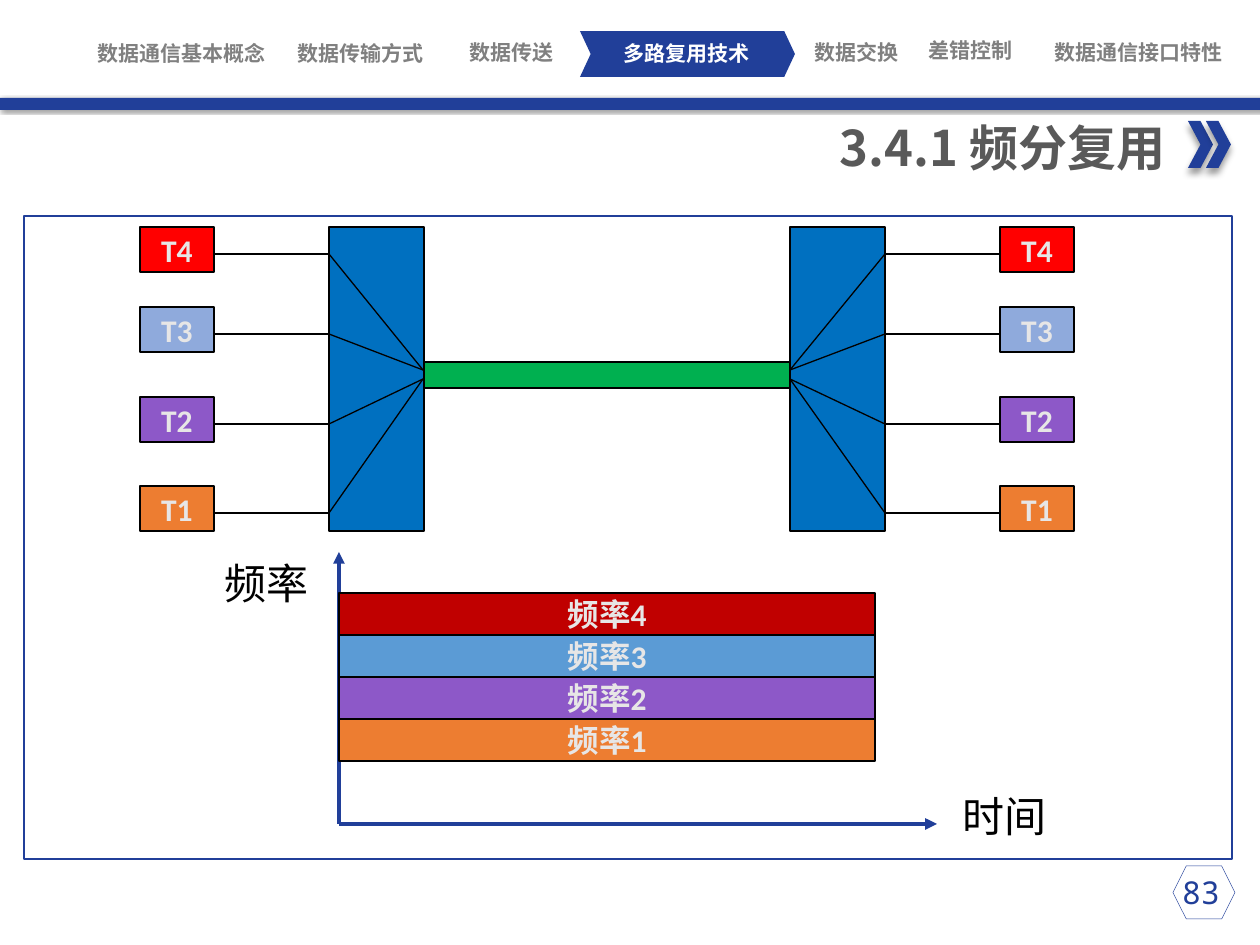
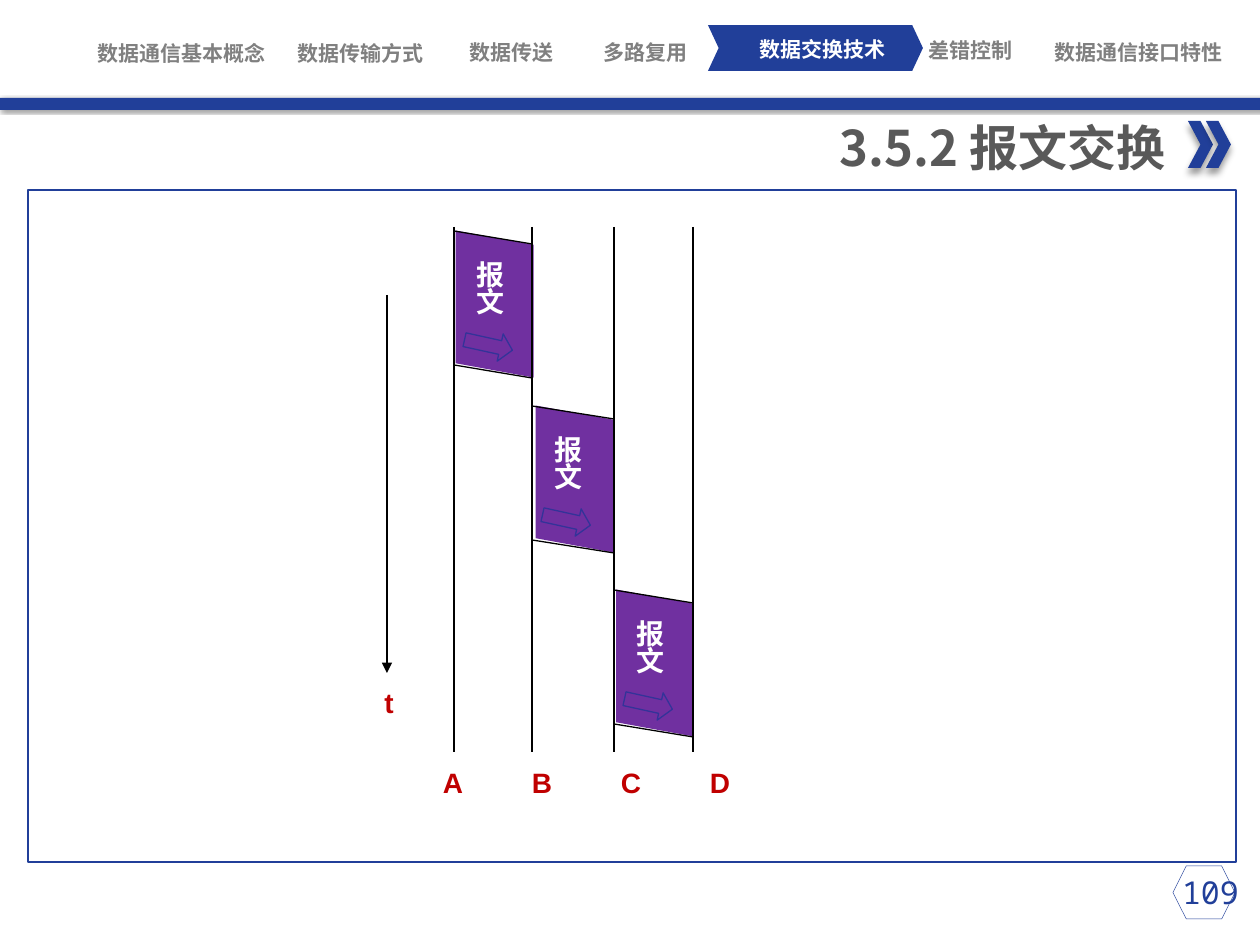
from dataclasses import dataclass
from pptx import Presentation
from pptx.dml.color import RGBColor
from pptx.enum.shapes import MSO_CONNECTOR, MSO_SHAPE as SHAPE
from pptx.enum.text import MSO_ANCHOR, PP_ALIGN as ALIGN
from pptx.oxml.ns import qn
from pptx.oxml.xmlchemy import OxmlElement
from pptx.util import Emu, Pt

PX = 914400 / 126


@dataclass(frozen=True)
class Theme:
    navy: str = "213F99"
    grey: str = "808080"
    title: str = "595959"
    white: str = "FFFFFF"
    black: str = "000000"
    pale: str = "E7E6E6"
    mux: str = "0070C0"
    trunk: str = "00B050"
    message: str = "7030A0"
    arrow: str = "333399"
    red: str = "C00000"
    nav_font: str = "Roboto Condensed"
    cjk: str = "Noto Sans CJK SC"
    mono: str = "Noto Sans Mono"
    box_font: str = "Calibri"
    label_font: str = "Arial"
    nav_pt: int = 12
    label_pt: int = 16
    box_pt: int = 18
    axis_pt: int = 24
    title_pt: int = 28


T = Theme()

SHARED_TABS = [
    ("数据通信基本概念", 182, 53),
    ("数据传输方式", 361, 53),
    ("数据传送", 512, 52),
    ("差错控制", 971, 50),
    ("数据通信接口特性", 1139, 52),
]
FDM = {
    "title": "3.4.1 频分复用",
    "page": "83",
    "frame": (24, 216, 1208, 643),
    "active": ("多路复用技术", 687, 53),
    "other": ("数据交换", 857, 52),
    "chevron": (580, 31),
}
MESSAGE = {
    "title": "3.5.2 报文交换",
    "page": "109",
    "frame": (28, 190, 1208, 672),
    "active": ("数据交换技术", 823, 49),
    "other": ("多路复用", 646, 52),
    "chevron": (708, 25),
}

TERMINALS = [
    ("T4", "FF0000", 227, 370),
    ("T3", "8FAADC", 307, 370),
    ("T2", "8D58C8", 397, 379),
    ("T1", "ED7D31", 486, 379),
]
MUX_SIDES = [
    {"terminal": 140, "wire": (213, 329), "mouth": 423, "mux": 329},
    {"terminal": 1000, "wire": (1000, 885), "mouth": 790, "mux": 790},
]
BANDS = [("频率4", "C00000"), ("频率3", "5B9BD5"),
         ("频率2", "8D58C8"), ("频率1", "ED7D31")]
AXIS_ORIGIN = (339, 824)
AXIS_ENDS = [(937, 824), (339, 552)]
AXIS_NAMES = [("时间", 963, 816), ("频率", 225, 583)]

LANES = [454, 532, 614, 693]
LANE_TOP, LANE_BOTTOM = 227, 752
HOP_TOPS = [231, 406, 590]
NODES = "ABCD"
NODE_X, NODE_STEP = 453, 89


def px(*values):
    return [Emu(round(v * PX)) for v in values]


def rgb(color):
    return RGBColor.from_string(color)


def write(s, text, size=T.box_pt, font=T.cjk, color=T.black, bold=False,
          align=ALIGN.CENTER, wrap=True, spacing=None):
    tf = s.text_frame
    tf.word_wrap = wrap
    tf.vertical_anchor = MSO_ANCHOR.MIDDLE
    tf.margin_left = tf.margin_right = tf.margin_top = tf.margin_bottom = 0
    for i, line in enumerate(text.split("\n")):
        p = tf.add_paragraph() if i else tf.paragraphs[0]
        p.alignment = align
        if spacing:
            p.line_spacing = spacing
        r = p.add_run()
        r.text = line
        r.font.size, r.font.name, r.font.bold = Pt(size), font, bold
        r.font.color.rgb = rgb(color)
        ea = OxmlElement("a:ea")
        ea.set("typeface", T.cjk)
        r.font._element.find(qn("a:latin")).addnext(ea)


def label(slide, text, x, y, w=240, h=50, align=ALIGN.CENTER, **fmt):
    shift = {ALIGN.LEFT: 0, ALIGN.CENTER: w / 2, ALIGN.RIGHT: w}[align]
    s = slide.shapes.add_textbox(*px(x - shift, y - h / 2, w, h))
    write(s, text, align=align, **fmt)


def shape(slide, kind, box, fill=None, line=None, width=0.75, adj=(),
          rotation=0, shadow=None):
    s = slide.shapes.add_shape(kind, *px(*box))
    s.rotation = rotation
    for i, value in enumerate(adj):
        s.adjustments[i] = value
    if fill:
        s.fill.solid()
        s.fill.fore_color.rgb = rgb(fill)
    else:
        s.fill.background()
    if line:
        s.line.color.rgb = rgb(line)
        s.line.width = Pt(width)
    else:
        s.line.fill.background()
    s.shadow.inherit = False
    if shadow:
        cast_shadow(s, *shadow)
    return s


def cast_shadow(s, blur, dist, angle):
    outer = OxmlElement("a:outerShdw")
    outer.set("blurRad", str(Pt(blur)))
    outer.set("dist", str(Pt(dist)))
    outer.set("dir", str(angle * 60000))
    color = OxmlElement("a:srgbClr")
    color.set("val", T.black)
    alpha = OxmlElement("a:alpha")
    alpha.set("val", "40000")
    color.append(alpha)
    outer.append(color)
    s._element.spPr.find(qn("a:effectLst")).append(outer)


def line(slide, start, end, color=T.black, width=0.75, arrow=False):
    s = slide.shapes.add_connector(MSO_CONNECTOR.STRAIGHT, *px(*start, *end))
    s.line.color.rgb = rgb(color)
    s.line.width = Pt(width)
    if arrow:
        tail = OxmlElement("a:tailEnd")
        tail.set("type", "triangle")
        s.line._get_or_add_ln().append(tail)
    s._element.spPr.append(OxmlElement("a:effectLst"))


def base_slide(prs, info):
    slide = prs.slides.add_slide(prs.slide_layouts[6])
    shape(slide, SHAPE.CHEVRON, (*info["chevron"], 215, 46), T.navy, adj=[0.234])
    for tab in [*SHARED_TABS, info["other"], info["active"]]:
        color = T.white if tab is info["active"] else T.grey
        label(slide, *tab, h=25, size=T.nav_pt, font=T.nav_font, color=color, bold=True)
    shape(slide, SHAPE.RECTANGLE, (0, 98, 1260, 12), T.navy, shadow=(2, 1, 45))
    for x in (1188, 1206):
        shape(slide, SHAPE.CHEVRON, (x, 121, 25, 47), T.navy, shadow=(4, 3, 90))
    label(slide, info["title"], 1165, 147, w=500, h=72, align=ALIGN.RIGHT,
          size=T.title_pt, color=T.title, bold=True)
    shape(slide, SHAPE.RECTANGLE, info["frame"], line=T.navy)
    label(slide, info["page"], 1182, 892, w=70, align=ALIGN.LEFT,
          font=T.mono, color=T.navy)
    shape(slide, SHAPE.HEXAGON, (1173, 866, 62, 53), line=T.navy, width=0.25)
    return slide


def named_box(slide, text, box, fill):
    s = shape(slide, SHAPE.RECTANGLE, box, fill, T.black)
    write(s, text, font=T.box_font, color=T.pale, bold=True)


def fdm_slide(prs):
    slide = base_slide(prs, FDM)
    for end in AXIS_ENDS:
        line(slide, AXIS_ORIGIN, end, T.navy, 2.25, arrow=True)
    for i, (text, fill) in enumerate(BANDS):
        named_box(slide, text, (AXIS_ORIGIN[0], 593 + 42 * i, 536, 42), fill)
    for name, x, y in AXIS_NAMES:
        label(slide, name, x, y, w=100, align=ALIGN.LEFT, size=T.axis_pt)
    shape(slide, SHAPE.RECTANGLE, (423, 362, 367, 26), T.trunk, T.black)
    for side in MUX_SIDES:
        shape(slide, SHAPE.RECTANGLE, (side["mux"], 227, 95, 304), T.mux, T.black)
        outer, inner = side["wire"]
        for text, fill, top, mouth_y in TERMINALS:
            wire_y = top + 27
            named_box(slide, text, (side["terminal"], top, 74, 45), fill)
            line(slide, (outer, wire_y), (inner, wire_y))
            line(slide, (inner, wire_y), (side["mouth"], mouth_y))


def message_block(slide, left, right, top):
    middle = (left + right) / 2 + 1
    shape(slide, SHAPE.PARALLELOGRAM, (middle - 73, top + 34, 147, 78),
          T.message, adj=[0.183], rotation=90)
    shape(slide, SHAPE.RIGHT_ARROW, (left + 10, top + 100, 49, 28), T.message,
          T.arrow, adj=[0.5, 0.447], rotation=12.4)
    s = shape(slide, SHAPE.RECTANGLE, (left + 9, top + 26, 54, 67), T.message)
    write(s, "报\n文", size=T.label_pt, font=T.label_font, color=T.white,
          bold=True, spacing=0.8)
    for y in (top, top + 134):
        line(slide, (left, y), (right, y + 13))


def message_slide(prs):
    slide = base_slide(prs, MESSAGE)
    for left, right, top in zip(LANES, LANES[1:], HOP_TOPS):
        message_block(slide, left, right, top)
    for x in LANES:
        line(slide, (x, LANE_TOP), (x, LANE_BOTTOM), width=1)
    line(slide, (387, 295), (387, 673), width=1.5, arrow=True)
    marks = [(node, NODE_X + NODE_STEP * i, 782) for i, node in enumerate(NODES)]
    for mark in [*marks, ("t", 389, 702)]:
        label(slide, *mark, w=40, size=T.label_pt, font=T.label_font,
              color=T.red, bold=True)


def main():
    prs = Presentation()
    prs.slide_width, prs.slide_height = px(1260, 945)
    fdm_slide(prs)
    message_slide(prs)
    prs.save("out.pptx")


if __name__ == "__main__":
    main()
